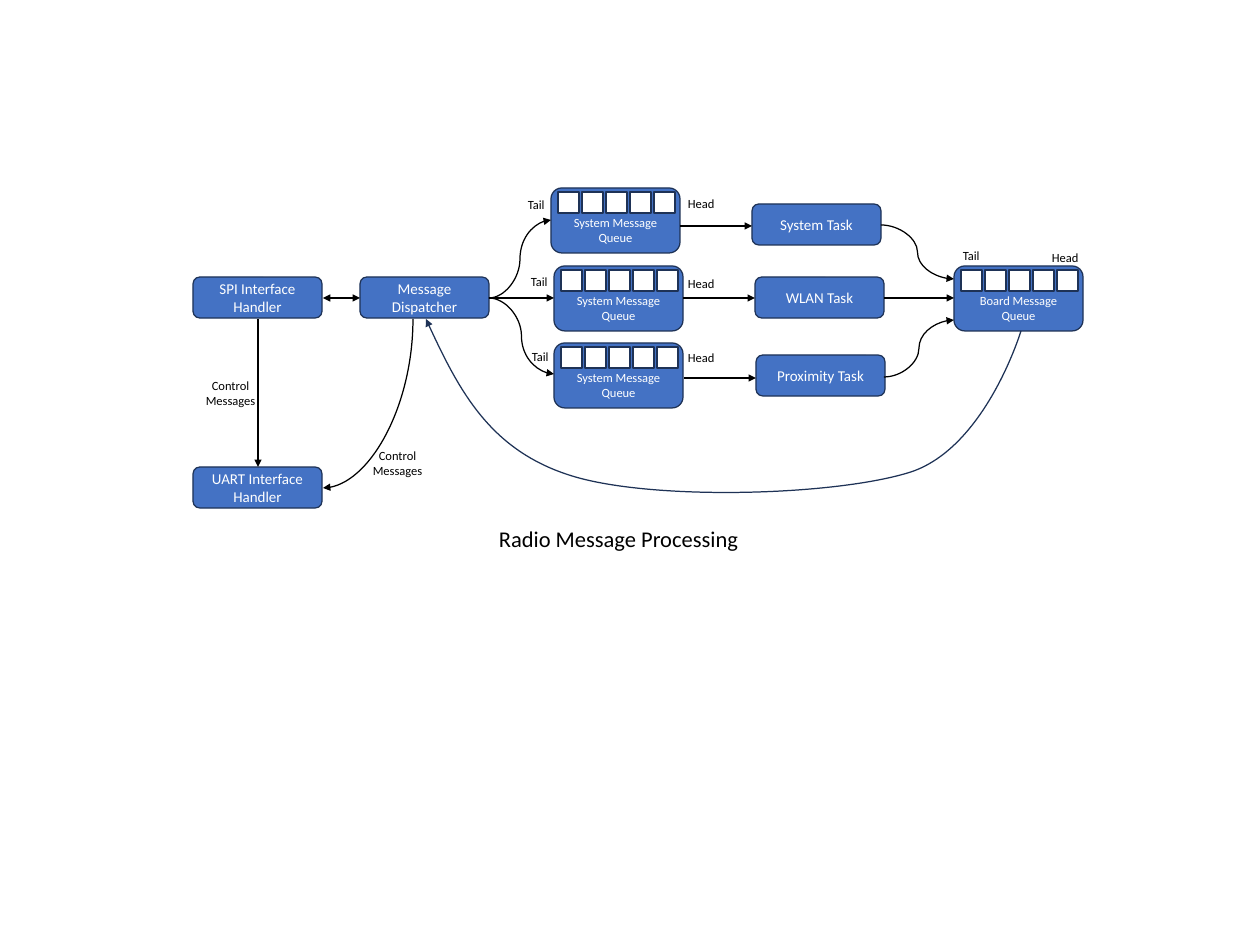
from dataclasses import dataclass

from lxml.etree import SubElement
from pptx import Presentation
from pptx.dml.color import RGBColor
from pptx.enum.shapes import MSO_CONNECTOR as Connector, MSO_SHAPE as Shape
from pptx.enum.text import MSO_ANCHOR as Anchor, MSO_AUTO_SIZE as AutoSize, PP_ALIGN as Align
from pptx.oxml.ns import qn
from pptx.util import Inches, Pt

PX = Inches(1) // 90


@dataclass(frozen=True)
class Theme:
    font: str = "Calibri"
    box: RGBColor = RGBColor(0x44, 0x72, 0xC4)
    outline: RGBColor = RGBColor(0x1E, 0x32, 0x56)
    white: RGBColor = RGBColor(0xFF, 0xFF, 0xFF)
    black: RGBColor = RGBColor(0, 0, 0)
    label_size: int = 10
    box_size: int = 12
    title_size: int = 18
    line_width: int = 1


THEME = Theme()

SLIDE_SIZE = (1260, 945)
BOX_SIZE = (129, 41)
QUEUE_SIZE = (129, 65)
CELL_COUNT, CELL_SIZE, CELL_PITCH = 5, 21, 24
CELL_OFFSET = (7, 4)
END_LABEL_HEIGHT = 24
TAIL_WIDTH, HEAD_WIDTH = 38, 46

TITLE = ("Radio Message Processing", 382, 521, 473, 41)

BOXES = [  # text, left, top
    ("UART Interface Handler", 193, 467),
    ("SPI Interface Handler", 193, 277),
    ("Message Dispatcher", 360, 277),
    ("System Task", 752, 204),
    ("WLAN Task", 755, 277),
    ("Proximity Task", 756, 355),
]

QUEUES = [  # text, left and top, Tail label, Head label
    ("System Message Queue", (551, 188), (519, 193), (679, 192)),
    ("System Message Queue", (554, 266), (522, 270), (679, 272)),
    ("System Message Queue", (554, 343), (523, 345), (679, 346)),
    ("Board Message Queue", (954, 266), (954, 244), (1043, 246)),
]

CONTROL_LABEL = "Control\nMessages"
CONTROL_LABELS = [(193, 374), (360, 444)]
CONTROL_LABEL_SIZE = (75, 40)

STRAIGHT_ARROWS = [  # from, to
    ((884, 298), (954, 298)),
    ((683, 298), (755, 298)),
    ((680, 226), (752, 226)),
    ((684, 378), (756, 378)),
    ((489, 298), (554, 298)),
    ((258, 319), (258, 467)),
]
TWO_WAY_ARROW = ((323, 298), (360, 298))
CURVED_ARROWS = [
    ((881, 225), (954, 279)),
    ((884, 377), (954, 320)),
    ((489, 298), (551, 220)),
    ((489, 298), (554, 374)),
]
QUARTER_ARROW = ((323, 488), (413, 319))

# Start point, then two control points and an end point for each curve
FEEDBACK_CURVE = [
    (426, 319),
    (458, 389), (491, 451), (572, 476),
    (653, 501), (836, 496), (911, 472),
    (986, 447), (1021, 331), (1021, 331),
]


def emu(*lengths):
    return [length * PX for length in lengths]


def write(shape, text, size, color, align, anchor):
    frame = shape.text_frame
    frame.word_wrap = True
    frame.vertical_anchor = anchor
    frame.text = text
    for paragraph in frame.paragraphs:
        paragraph.alignment = align
        paragraph.font.name = THEME.font
        paragraph.font.size = Pt(size)
        paragraph.font.color.rgb = color


def set_line(shape, color):
    shape.line.color.rgb = color
    shape.line.width = Pt(THEME.line_width)


def add_box(slide, kind, left, top, width, height, fill):
    shape = slide.shapes.add_shape(kind, *emu(left, top, width, height))
    shape.shadow.inherit = False
    shape.fill.solid()
    shape.fill.fore_color.rgb = fill
    set_line(shape, THEME.outline)
    return shape


def add_label(slide, text, left, top, width, height, size=THEME.label_size, align=Align.CENTER):
    label = slide.shapes.add_textbox(*emu(left, top, width, height))
    write(label, text, size, THEME.black, align, Anchor.TOP)
    label.text_frame.auto_size = AutoSize.SHAPE_TO_FIT_TEXT


def add_queue(slide, text, corner, tail, head):
    left, top = corner
    queue = add_box(slide, Shape.ROUNDED_RECTANGLE, left, top, *QUEUE_SIZE, THEME.box)
    write(queue, text, THEME.label_size, THEME.white, Align.CENTER, Anchor.BOTTOM)
    for index in range(CELL_COUNT):
        cell_left = left + CELL_OFFSET[0] + index * CELL_PITCH
        add_box(slide, Shape.RECTANGLE, cell_left, top + CELL_OFFSET[1],
                CELL_SIZE, CELL_SIZE, THEME.white)
    for name, place, width in (("Tail", tail, TAIL_WIDTH), ("Head", head, HEAD_WIDTH)):
        add_label(slide, name, *place, width, END_LABEL_HEIGHT, align=Align.LEFT)


def add_arrowheads(shape, ends):
    """Ends are headEnd (start of the line) and tailEnd (finish), in that order."""
    line = shape.line._get_or_add_ln()
    for end in ends:
        SubElement(line, qn(f"a:{end}"), type="triangle")


def add_arrow(slide, start, finish, kind=Connector.STRAIGHT, ends=("tailEnd",)):
    arrow = slide.shapes.add_connector(kind, *emu(*start, *finish))
    set_line(arrow, THEME.black)
    add_arrowheads(arrow, ends)
    SubElement(arrow._element.spPr, qn("a:effectLst"))
    return arrow


def add_feedback_curve(slide, points):
    """Lay the points as a polyline, then regroup each three as one Bezier curve."""
    builder = slide.shapes.build_freeform(*points[0], scale=PX)
    builder.add_line_segments(points[1:], close=False)
    curve = builder.convert_to_shape()
    curve.shadow.inherit = False
    curve.fill.background()
    set_line(curve, THEME.outline)
    add_arrowheads(curve, ["headEnd"])
    segments = list(curve._element.iter(qn("a:lnTo")))
    outline = segments[0].getparent()
    for index in range(0, len(segments), 3):
        bezier = SubElement(outline, qn("a:cubicBezTo"))
        for segment in segments[index:index + 3]:
            bezier.append(segment[0])
            outline.remove(segment)


def main():
    presentation = Presentation()
    presentation.slide_width, presentation.slide_height = emu(*SLIDE_SIZE)
    slide = presentation.slides.add_slide(presentation.slide_layouts[6])

    for text, left, top in BOXES:
        box = add_box(slide, Shape.ROUNDED_RECTANGLE, left, top, *BOX_SIZE, THEME.box)
        write(box, text, THEME.box_size, THEME.white, Align.CENTER, Anchor.MIDDLE)
    for queue in QUEUES:
        add_queue(slide, *queue)
    add_label(slide, *TITLE, size=THEME.title_size)

    for start, finish in STRAIGHT_ARROWS:
        add_arrow(slide, start, finish)
    add_arrow(slide, *TWO_WAY_ARROW, ends=("headEnd", "tailEnd"))
    for start, finish in CURVED_ARROWS:
        add_arrow(slide, start, finish, Connector.CURVE)
    quarter = add_arrow(slide, *QUARTER_ARROW, Connector.CURVE, ends=("headEnd",))
    quarter._element.spPr.find(qn("a:prstGeom")).set("prst", "curvedConnector2")
    add_feedback_curve(slide, FEEDBACK_CURVE)

    for left, top in CONTROL_LABELS:
        add_label(slide, CONTROL_LABEL, left, top, *CONTROL_LABEL_SIZE)
    presentation.save("out.pptx")


if __name__ == "__main__":
    main()
